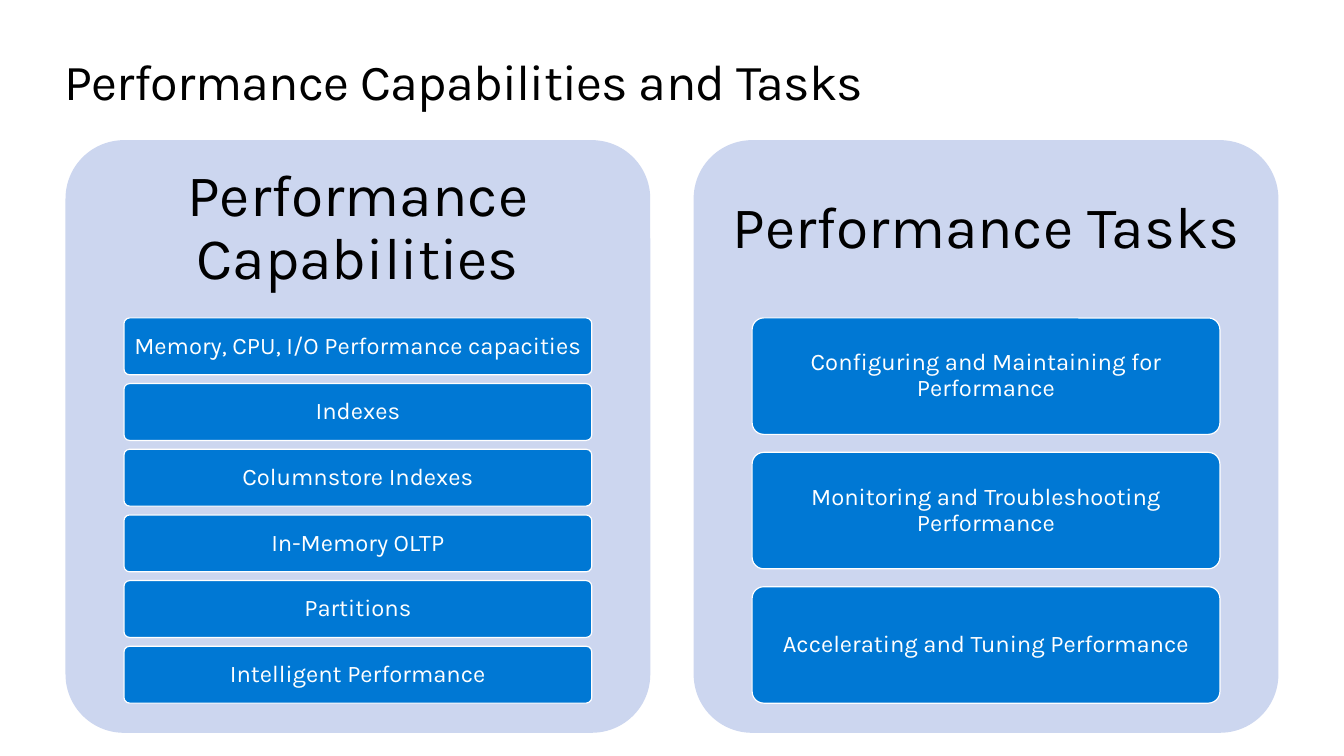
from pptx import Presentation
from pptx.dml.color import RGBColor
from pptx.enum.shapes import MSO_SHAPE
from pptx.enum.text import MSO_ANCHOR, PP_ALIGN
from pptx.util import Inches, Pt

FONT = "Karla"
PANELS = [
    ("Performance Capabilities", [
        "Memory, CPU, I/O Performance capacities",
        "Indexes",
        "Columnstore Indexes",
        "In-Memory OLTP",
        "Partitions",
        "Intelligent Performance",
    ]),
    ("Performance Tasks", [
        "Configuring and Maintaining for Performance",
        "Monitoring and Troubleshooting Performance",
        "Accelerating and Tuning Performance",
    ]),
]


def color(value):
    return RGBColor.from_string(value)


def set_text(sp, text, size, font_color, inset_x=0, inset_y=0,
             align=PP_ALIGN.CENTER, anchor=MSO_ANCHOR.MIDDLE, spacing=0.9):
    tf = sp.text_frame
    tf.word_wrap = True
    tf.vertical_anchor = anchor
    tf.margin_left = tf.margin_right = Inches(inset_x)
    tf.margin_top = tf.margin_bottom = Inches(inset_y)
    p = tf.paragraphs[0]
    p.text = text
    p.alignment = align
    p.line_spacing = spacing
    p.font.name = FONT
    p.font.size = Pt(size)
    p.font.color.rgb = color(font_color)
    return p


def add_round_box(slide, x, y, w, h, fill, line=None):
    sp = slide.shapes.add_shape(MSO_SHAPE.ROUNDED_RECTANGLE,
                                Inches(x), Inches(y), Inches(w), Inches(h))
    sp.adjustments[0] = 0.1
    sp.shadow.inherit = False
    sp.fill.solid()
    sp.fill.fore_color.rgb = color(fill)
    if line:
        sp.line.color.rgb = color(line)
        sp.line.width = Pt(0.85)
    else:
        sp.line.fill.background()
    return sp


def add_title(slide, x, y, w, h):
    sp = slide.shapes.add_textbox(Inches(x), Inches(y), Inches(w), Inches(h))
    p = set_text(sp, "Performance Capabilities and Tasks", 36, "000000",
                 align=PP_ALIGN.LEFT, anchor=MSO_ANCHOR.TOP, spacing=1.0)
    p.runs[0].font._element.set("spc", "-50")


def add_panel(slide, x, y, w, h, heading, items):
    add_round_box(slide, x, y, w, h, "CCD6EF")
    sp = slide.shapes.add_textbox(Inches(x), Inches(y), Inches(w), Inches(0.3 * h))
    set_text(sp, heading, 42, "000000", 0.17, 0.17)

    gap_ratio = 0.154
    count = len(items)
    item_h = 0.65 * h / (count + gap_ratio * (count - 1))
    for i, item in enumerate(items):
        item_y = y + 0.3 * h + i * item_h * (1 + gap_ratio)
        sp = add_round_box(slide, x + 0.1 * w, item_y, 0.8 * w, item_h,
                           "0078D4", "FFFFFF")
        set_text(sp, item, 17, "FFFFFF", 0.05, 0.04)


def main():
    prs = Presentation()
    prs.slide_width = Inches(13.33)
    prs.slide_height = Inches(7.5)
    slide = prs.slides.add_slide(prs.slide_layouts[6])
    add_title(slide, 0.64, 0.5, 12.05, 0.61)
    for i, (heading, items) in enumerate(PANELS):
        add_panel(slide, 0.65 + i * 6.23, 1.39, 5.8, 5.88, heading, items)
    prs.save("out.pptx")


if __name__ == "__main__":
    main()
